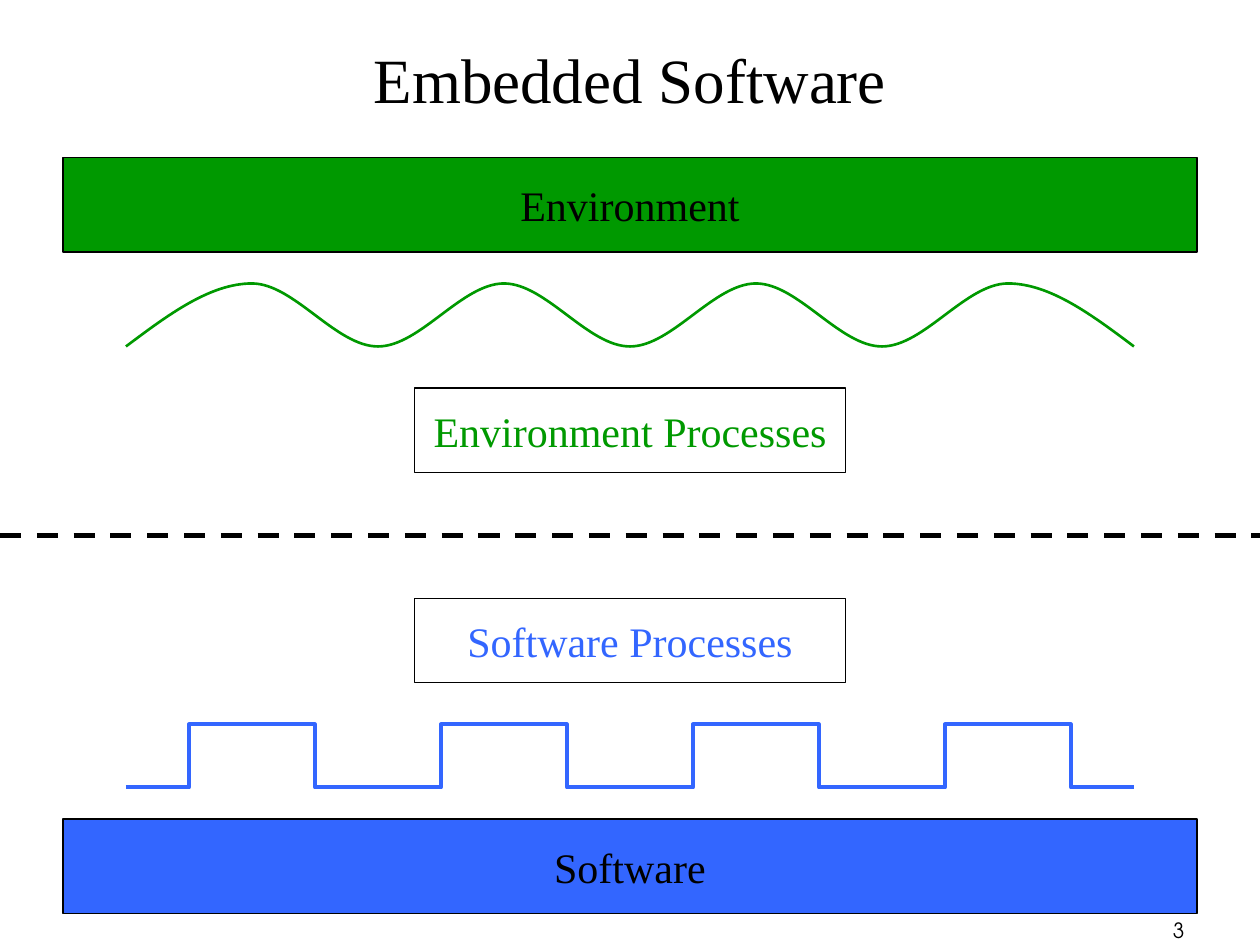
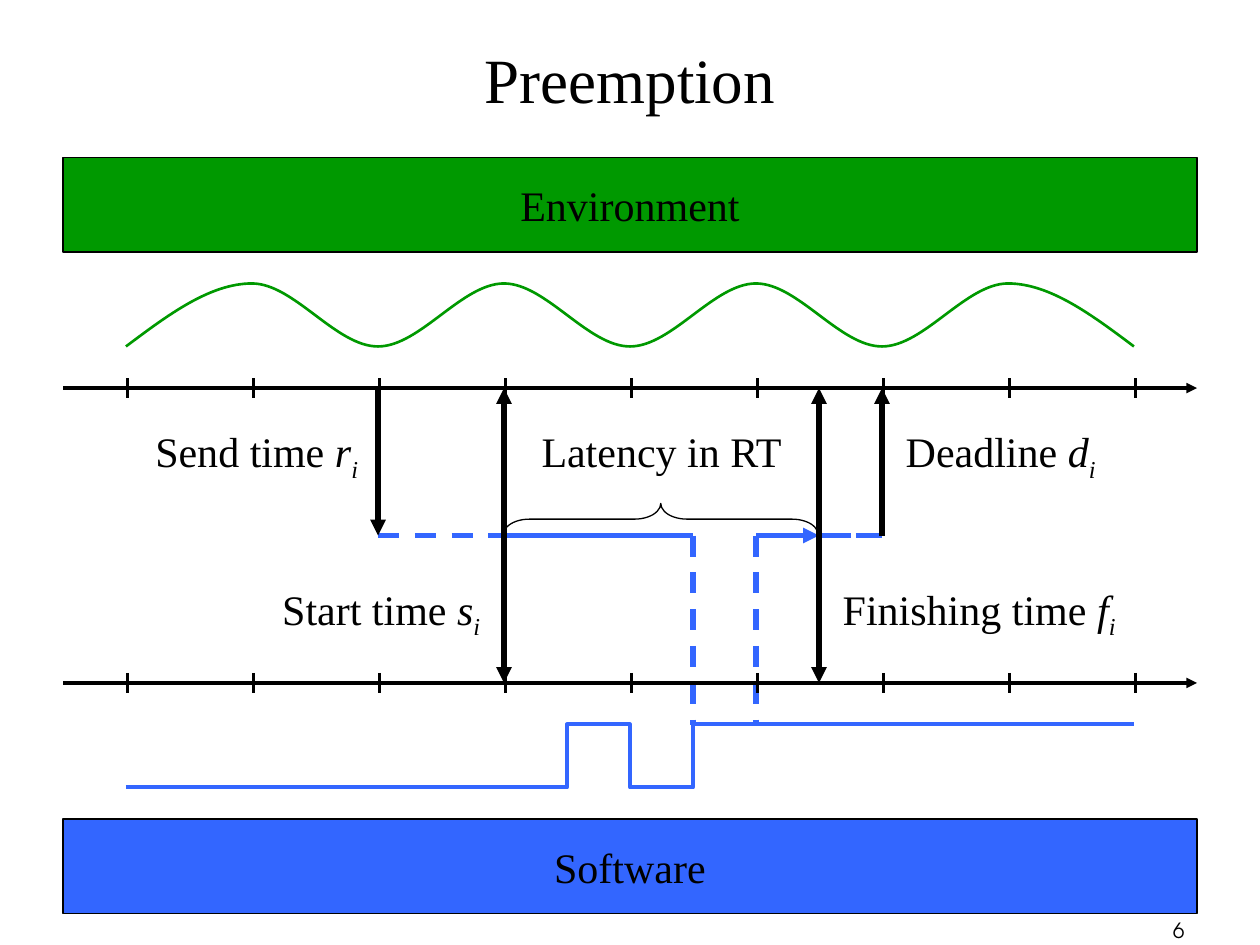
from lxml.etree import Element, SubElement
from pptx import Presentation
from pptx.dml.color import RGBColor
from pptx.enum.dml import MSO_LINE
from pptx.enum.shapes import MSO_CONNECTOR, MSO_SHAPE
from pptx.enum.text import MSO_ANCHOR, MSO_AUTO_SIZE, PP_ALIGN
from pptx.oxml.ns import qn
from pptx.util import Cm, Pt

# Shared look
BLACK = "000000"
GREEN = "009900"
BLUE = "3366FF"
SERIF = "Times New Roman"
SANS = "TeX Gyre Adventor"
STEP = 2.54  # one time step on the grid, in centimetres


def paint(fill, colour):
    """Give a shape, line or font fill one solid colour."""
    fill.solid()
    fill.fore_color.rgb = RGBColor.from_string(colour)


def write_text(shape, text, symbol="", size=24, font=SERIF, colour=BLACK,
               align=PP_ALIGN.CENTER, anchor=MSO_ANCHOR.MIDDLE, wrap=False):
    """Write text, optionally followed by an italic symbol with index i."""
    frame = shape.text_frame
    frame.auto_size = MSO_AUTO_SIZE.NONE
    frame.word_wrap = wrap
    frame.vertical_anchor = anchor
    paragraph = frame.paragraphs[0]
    paragraph.alignment = align
    parts = [(text, False)]
    if symbol:
        parts += [(symbol, True), ("i", True)]
    for words, italic in parts:
        run = paragraph.add_run()
        run.text = words
        run.font.size = Pt(size)
        run.font.name = font
        run.font.italic = italic
        paint(run.font.fill, colour)
    if symbol:
        run.font._element.set("baseline", "-25000")


presentation = Presentation()
presentation.slide_width = Cm(10 * STEP)
presentation.slide_height = Cm(7.5 * STEP)

# Title, page number and the steps at which the software signal switches
pages = [
    ("Embedded Software", "3", [step + 0.5 for step in range(1, 9)]),
    ("Preemption", "6", [4.5, 5, 5.5]),
]
slides = []
for title_text, page_number, switches in pages:
    slide = presentation.slides.add_slide(presentation.slide_layouts[5])
    slides.append(slide)

    # Title
    title = slide.shapes.title
    title.left, title.top, title.width, title.height = [
        Cm(STEP * length) for length in (0.75, 0, 8.5, 1.25)]
    write_text(title, title_text, size=36, wrap=True)

    # Bands
    for top, label, colour in [(1.25, "Environment", GREEN), (6.5, "Software", BLUE)]:
        band = slide.shapes.add_shape(
            MSO_SHAPE.RECTANGLE, Cm(0.5 * STEP), Cm(top * STEP), Cm(9 * STEP), Cm(0.75 * STEP))
        band.shadow.inherit = False
        paint(band.fill, colour)
        paint(band.line.fill, BLACK)
        band.line.width = Pt(0.75)
        write_text(band, label)

    # Environment wave and software signal
    wave_points = [(step, 2.75 if step % 2 else 2.25) for step in range(1, 10)]
    signal_points = [(1, 6.25)]
    for switch in switches:
        level = signal_points[-1][1]
        signal_points += [(switch, level), (switch, 12 - level)]
    signal_points.append((9, signal_points[-1][1]))
    curves = []
    for points, colour, width in [(wave_points, GREEN, 1.5), (signal_points, BLUE, 2.25)]:
        corners = [(Cm(x * STEP), Cm(y * STEP)) for x, y in points]
        builder = slide.shapes.build_freeform(*corners[0])
        builder.add_line_segments(corners[1:], close=False)
        curve = builder.convert_to_shape()
        curve.shadow.inherit = False
        curve.fill.background()
        paint(curve.line.fill, colour)
        curve.line.width = Pt(width)
        curves.append(curve)

    # Round the wave: level at each crest, sloping at both ends
    outline = curves[0]._element.find(".//" + qn("a:path"))
    places = [(int(point.get("x")), int(point.get("y"))) for point in outline.iter(qn("a:pt"))]
    segments = outline.findall(qn("a:lnTo"))
    for segment, (x1, y1), (x2, y2) in zip(segments, places, places[1:]):
        third = (x2 - x1) // 3
        middle = (y1 + y2) // 2
        controls = [(x1 + third, middle if segment is segments[0] else y1),
                    (x2 - third, middle if segment is segments[-1] else y2)]
        segment.tag = qn("a:cubicBezTo")
        for position, (x, y) in enumerate(controls):
            segment.insert(position, Element(qn("a:pt"), x=str(x), y=str(y)))

    # Page number
    footer = slide.shapes.add_textbox(
        Cm(7.42 * STEP), Cm(7.23 * STEP), Cm(2.08 * STEP), Cm(0.25 * STEP))
    write_text(footer, page_number, size=12, font=SANS, align=PP_ALIGN.RIGHT,
               anchor=MSO_ANCHOR.TOP, wrap=True)

overview, preemption = slides

# Process boxes
for top, label, colour in [(3.08, "Environment Processes", GREEN),
                           (4.75, "Software Processes", BLUE)]:
    box = overview.shapes.add_shape(
        MSO_SHAPE.RECTANGLE, Cm(3.29 * STEP), Cm(top * STEP), Cm(3.42 * STEP), Cm(0.67 * STEP))
    box.shadow.inherit = False
    box.fill.background()
    paint(box.line.fill, BLACK)
    box.line.width = Pt(0.75)
    write_text(box, label, colour=colour)

# Lines: slide, start, end, colour, width, dashed, arrowheads
environment_time, task_time, software_time = 3.08, 4.25, 5.42
lines = [(overview, (0, task_time), (10, task_time), BLACK, 3, True, [])]

# Task execution, dashed while it waits
for start, end, dashed, heads in [
    ((5.5, task_time), (5.5, 5.75), True, []),
    ((6, task_time), (6, 5.75), True, []),
    ((3, task_time), (4, task_time), True, []),
    ((4, task_time), (5.5, task_time), False, []),
    ((6, task_time), (6.5, task_time), False, ["tailEnd"]),
    ((6.5, task_time), (7, task_time), True, []),
    ((6, task_time), (7, task_time), True, []),
]:
    lines.append((preemption, start, end, BLUE, 3, dashed, heads))

# Time axes with one tick a step
for axis in (environment_time, software_time):
    lines.append((preemption, (0.5, axis), (9.5, axis), BLACK, 2, False, ["tailEnd"]))
    for step in range(1, 10):
        x = step + 0.01
        lines.append((preemption, (x, axis - 0.08), (x, axis + 0.08), BLACK, 1.5, False, []))

# Send, deadline, start and finishing arrows
for x, start, end, heads in [
    (3, environment_time, task_time, ["tailEnd"]),
    (7, task_time, environment_time, ["tailEnd"]),
    (4, software_time, environment_time, ["headEnd", "tailEnd"]),
    (6.5, software_time, environment_time, ["headEnd", "tailEnd"]),
]:
    lines.append((preemption, (x, start), (x, end), BLACK, 3, False, heads))

for slide, start, end, colour, width, dashed, heads in lines:
    connector = slide.shapes.add_connector(
        MSO_CONNECTOR.STRAIGHT, *[Cm(length * STEP) for length in start + end])
    paint(connector.line.fill, colour)
    connector.line.width = Pt(width)
    if dashed:
        connector.line.dash_style = MSO_LINE.DASH
    properties = connector._element.spPr
    for head in heads:
        SubElement(properties.find(qn("a:ln")), qn("a:" + head), type="triangle")
    SubElement(properties, qn("a:effectLst"))

# Latency brace
brace = preemption.shapes.add_shape(
    MSO_SHAPE.RIGHT_BRACE, Cm(5.12 * STEP), Cm(2.87 * STEP), Cm(0.25 * STEP), Cm(2.5 * STEP))
brace.rotation = 270
brace.adjustments[0] = 0.83
brace.shadow.inherit = False
brace.fill.background()
paint(brace.line.fill, BLACK)
brace.line.width = Pt(0.75)

# Labels of the time points
for left, top, width, text, symbol, align in [
    (1.13, 3.33, 1.81, "Send time ", "r", PP_ALIGN.RIGHT),
    (4.19, 3.33, 2.12, "Latency in RT", "", PP_ALIGN.CENTER),
    (7.09, 3.33, 1.7, "Deadline ", "d", PP_ALIGN.LEFT),
    (2.14, 4.58, 1.77, "Start time ", "s", PP_ALIGN.RIGHT),
    (6.59, 4.58, 2.36, "Finishing time ", "f", PP_ALIGN.LEFT),
]:
    label = preemption.shapes.add_textbox(
        Cm(left * STEP), Cm(top * STEP), Cm(width * STEP), Cm(0.56 * STEP))
    write_text(label, text, symbol=symbol, align=align, anchor=MSO_ANCHOR.TOP)

presentation.save("out.pptx")
